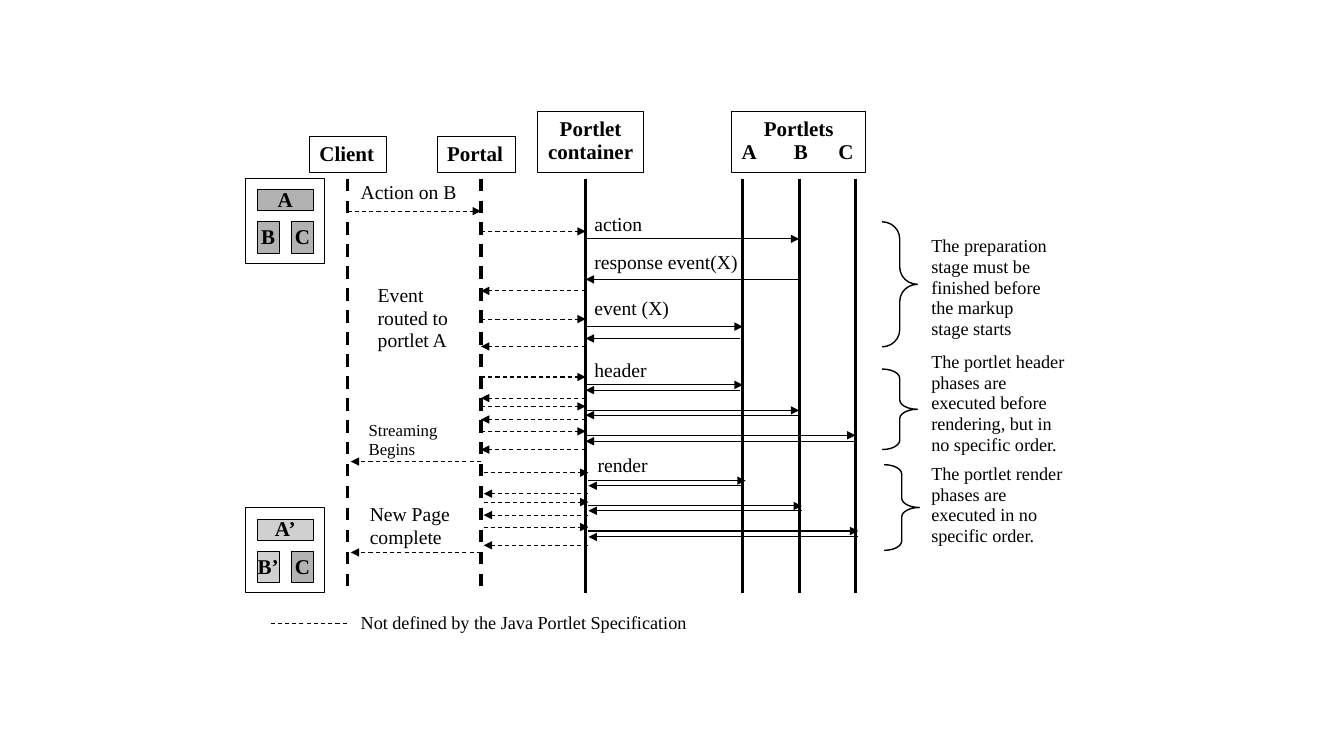
import pptx
import pptx.util
import pptx.dml.color
import pptx.enum.dml
import pptx.enum.shapes
import pptx.enum.text
import pptx.oxml
import pptx.oxml.ns

Cm = pptx.util.Cm
FONT = "Times New Roman"
COLORS = {"ink": "000000", "old": "B2B2B2", "new": "D0D0D0"}

HEADINGS = [
    ("Client", 7.8, 3.45, 1.93, 0.89, False),
    ("Portal", 11.02, 3.45, 1.98, 0.89, True),
    ("Portlet\ncontainer", 13.54, 2.82, 2.69, 1.52, False),
    ("Portlets\nA\tB\tC", 18.44, 2.82, 3.38, 1.52, True),
]
PORTLET_TABS = [1.32, 2.44]

LIFELINES = {"client": 8.76, "portal": 12.12, "container": 14.76,
             "A": 18.72, "B": 20.14, "C": 21.56}
LIFE_TOP, LIFE_BOTTOM = 4.5, 14.94
OUTSIDE_SPEC = {"client", "portal"}

MESSAGES = [
    ("client", "portal", 5.32), ("portal", "container", 5.83),
    ("container", "B", 6.02), ("B", "container", 7.04),
    ("container", "portal", 7.33), ("portal", "container", 8.04),
    ("container", "A", 8.23), ("A", "container", 8.53),
    ("container", "portal", 8.73), ("portal", "client", 11.63),
    ("portal", "client", 13.92),
]
CYCLES = [
    ("A", 9.5, 9.7, 9.83, 10.03),
    ("B", 10.24, 10.34, 10.46, 10.57),
    ("C", 10.87, 10.97, 11.12, 11.33),
]
PHASE_SHIFTS = [(0, 0), (0.07, 2.41)]

LABELS = [
    ("Action on B", 8.84, 4.45, 2.95, 0.81, 14, False),
    ("action", 14.73, 5.26, 1.73, 0.81, 14, False),
    ("response event(X)", 14.73, 6.22, 4.17, 0.81, 14, False),
    ("event (X)", 14.73, 7.37, 2.41, 0.81, 14, False),
    ("header", 14.73, 8.94, 1.85, 0.81, 14, False),
    ("render", 14.81, 11.33, 1.78, 0.81, 14, False),
    ("Event routed to portlet A", 9.27, 7.06, 2.84, 1.96, 14, True),
    ("Streaming\nBegins", 9.04, 10.49, 2.39, 1.22, 12, False),
    ("New Page\ncomplete", 9.07, 12.57, 2.54, 1.4, 14, False),
    ("The preparation stage must be finished before the markup stage starts",
     23.22, 5.82, 3.51, 2.9, 13, True),
    ("The portlet header phases are executed before rendering, but in no specific order.",
     23.22, 8.74, 3.91, 2.9, 13, True),
    ("The portlet render phases are executed in no specific order.",
     23.22, 11.56, 3.91, 2.36, 13, True),
    ("Not defined by the Java Portlet Specification", 8.84, 15.32, 9.3, 0.79, 13, True),
]
LEGEND_LINE = (8.74, 6.83, 15.72)

BRACES = [(22.23, 5.59, 3.15, 0.485), (22.23, 9.3, 2.03, 0.263), (22.28, 11.71, 2.16, 0.263)]
BRACE_WIDTH = 0.89

PAGE_LEFT, PAGE_WIDTH, PAGE_HEIGHT = 6.2, 1.98, 2.13
PAGES = [
    (4.5, [("A", "old"), ("B", "old"), ("C", "old")]),
    (12.8, [("A’", "new"), ("B’", "new"), ("C", "old")]),
]
TILES = [(0.28, 0.28, 1.42, 0.53), (0.28, 1.09, 0.56, 0.79), (1.14, 1.09, 0.56, 0.79)]


def rgb(name):
    return pptx.dml.color.RGBColor.from_string(COLORS[name])


def add_outline(slide, kind, left, top, width, height, fill=None, weight=0.75):
    shape = slide.shapes.add_shape(kind, Cm(left), Cm(top), Cm(width), Cm(height))
    shape.shadow.inherit = False
    if fill:
        shape.fill.solid()
        shape.fill.fore_color.rgb = rgb(fill)
    else:
        shape.fill.background()
    shape.line.color.rgb = rgb("ink")
    shape.line.width = pptx.util.Pt(weight)
    return shape


def write(shape, text, size, bold=False, centered=False, wrap=False):
    frame = shape.text_frame
    frame.text = text
    frame.word_wrap = wrap
    frame.vertical_anchor = pptx.enum.text.MSO_ANCHOR.TOP
    frame.auto_size = pptx.enum.text.MSO_AUTO_SIZE.SHAPE_TO_FIT_TEXT
    align = pptx.enum.text.PP_ALIGN
    for para in frame.paragraphs:
        tabbed = "\t" in para.text
        para.alignment = align.CENTER if centered and not tabbed else align.LEFT
        para.line_spacing = 0.95
        if tabbed:
            stops = pptx.oxml.parse_xml("<a:tabLst %s/>" % pptx.oxml.ns.nsdecls("a"))
            for position in PORTLET_TABS:
                stop = stops.makeelement(pptx.oxml.ns.qn("a:tab"),
                                         {"pos": str(int(Cm(position))), "algn": "l"})
                stops.append(stop)
            para._p.get_or_add_pPr().append(stops)
        for span in para.runs:
            span.font.name = FONT
            span.font.size = pptx.util.Pt(size)
            span.font.bold = bold
            span.font.color.rgb = rgb("ink")


def add_line(slide, x1, y1, x2, y2, weight=0.75, dashed=False, arrow=False):
    line = slide.shapes.add_connector(pptx.enum.shapes.MSO_CONNECTOR.STRAIGHT,
                                      Cm(x1), Cm(y1), Cm(x2), Cm(y2))
    line.line.color.rgb = rgb("ink")
    line.line.width = pptx.util.Pt(weight)
    if dashed:
        line.line.dash_style = pptx.enum.dml.MSO_LINE.DASH
    namespace = pptx.oxml.ns.nsdecls("a")
    if arrow:
        line.line._get_or_add_ln().append(
            pptx.oxml.parse_xml('<a:tailEnd %s type="triangle"/>' % namespace))
    line._element.spPr.append(pptx.oxml.parse_xml("<a:effectLst %s/>" % namespace))


def add_message(slide, source, target, y, shift=0):
    start, end = LIFELINES[source] + shift, LIFELINES[target] + shift
    if target == "client":
        end += 0.08
    if source == "A":
        start -= 0.08
    add_line(slide, start, y, end, y, dashed=bool({source, target} & OUTSIDE_SPEC), arrow=True)


def main():
    deck = pptx.Presentation()
    deck.slide_width, deck.slide_height = Cm(33.87), Cm(19.05)
    slide = deck.slides.add_slide(deck.slide_layouts[6])
    kinds = pptx.enum.shapes.MSO_SHAPE

    for text, left, top, width, height, wrap in HEADINGS:
        box = add_outline(slide, kinds.RECTANGLE, left, top, width, height)
        write(box, text, 15, bold=True, centered="\n" in text, wrap=wrap)

    for name, x in LIFELINES.items():
        add_line(slide, x, LIFE_TOP, x, LIFE_BOTTOM, weight=2.25, dashed=name in OUTSIDE_SPEC)

    for source, target, y in MESSAGES:
        add_message(slide, source, target, y)
    for shift, drop in PHASE_SHIFTS:
        for portlet, request, call, answer, reply in CYCLES:
            add_message(slide, "portal", "container", request + drop, shift)
            add_message(slide, "container", portlet, call + drop, shift)
            add_message(slide, portlet, "container", answer + drop, shift)
            add_message(slide, "container", "portal", reply + drop, shift)

    for text, left, top, width, height, size, wrap in LABELS:
        box = slide.shapes.add_textbox(Cm(left), Cm(top), Cm(width), Cm(height))
        write(box, text, size, wrap=wrap)
    start, end, y = LEGEND_LINE
    add_line(slide, start, y, end, y, dashed=True)

    for left, top, height, curve in BRACES:
        brace = add_outline(slide, kinds.RIGHT_BRACE, left, top, BRACE_WIDTH, height, weight=1)
        brace.adjustments[0] = curve

    for top, portlets in PAGES:
        add_outline(slide, kinds.RECTANGLE, PAGE_LEFT, top, PAGE_WIDTH, PAGE_HEIGHT)
        for (text, fill), (dx, dy, width, height) in zip(portlets, TILES):
            tile = add_outline(slide, kinds.RECTANGLE, PAGE_LEFT + dx, top + dy, width, height, fill)
            write(tile, text, 15, bold=True, centered=True)
            frame = tile.text_frame
            frame.auto_size = pptx.enum.text.MSO_AUTO_SIZE.NONE
            frame.vertical_anchor = pptx.enum.text.MSO_ANCHOR.MIDDLE
            frame.margin_left = frame.margin_right = frame.margin_top = frame.margin_bottom = 0

    deck.save("out.pptx")


if __name__ == "__main__":
    main()
